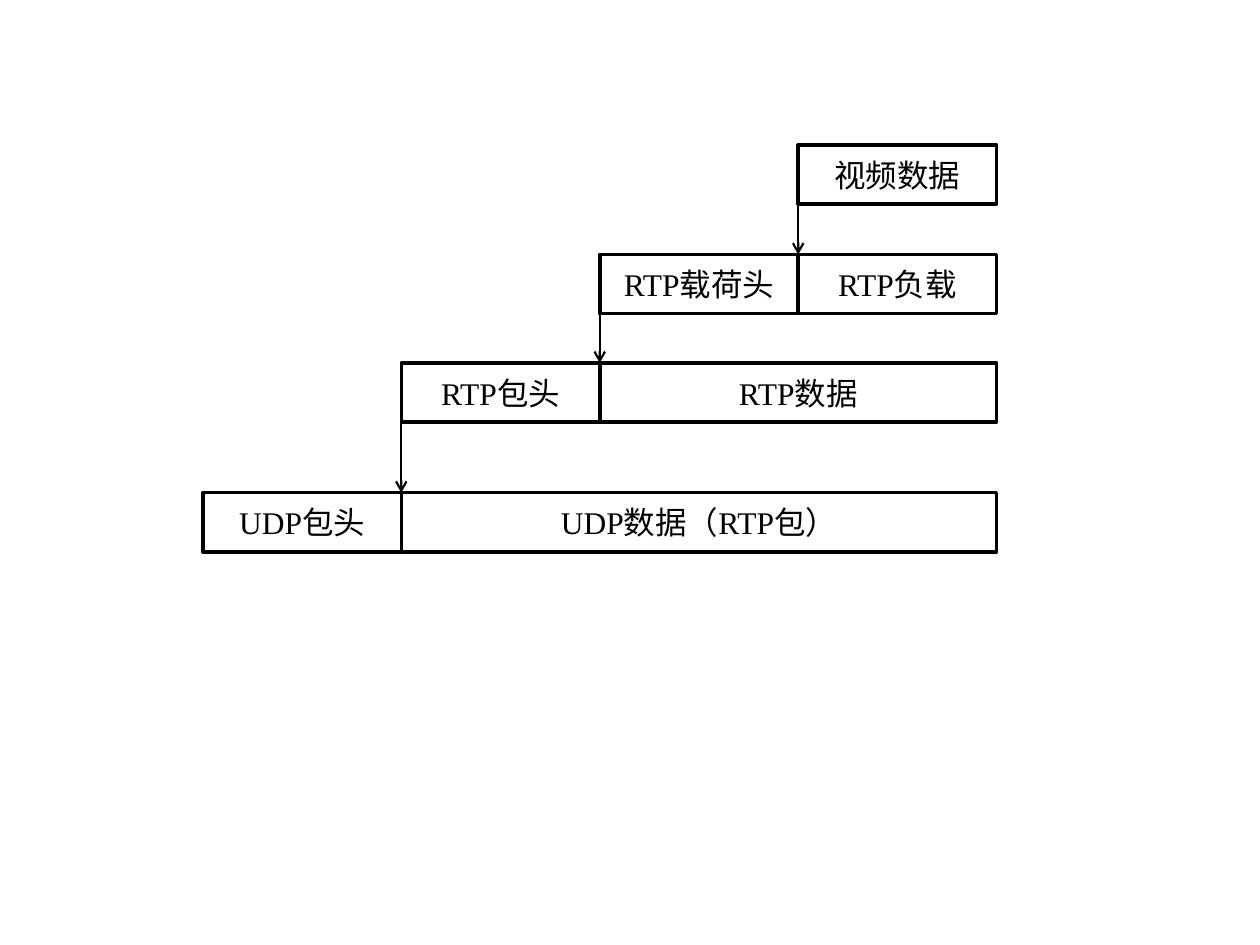
"""Draw how video data is wrapped in RTP and UDP packets."""
import pptx
import pptx.dml.color
import pptx.enum.shapes
import pptx.enum.text
import pptx.oxml
import pptx.oxml.ns
import pptx.util

Inches = pptx.util.Inches
Pt = pptx.util.Pt

LEFT = 1.61
COLUMN = 6.3 / 4
HEIGHT = 0.47
SERIF = "Times New Roman"
LAYERS = [
    (1.15, [("视频数据", 3, 1, "Calibri")]),
    (2.02, [("RTP载荷头", 2, 1, SERIF), ("RTP负载", 3, 1, SERIF)]),
    (2.88, [("RTP包头", 1, 1, SERIF), ("RTP数据", 2, 2, SERIF)]),
    (3.91, [("UDP包头", 0, 1, SERIF), ("UDP数据（RTP包）", 1, 3, SERIF)]),
]


def colour(value):
    return pptx.dml.color.RGBColor.from_string(value)


def apply(target, values):
    for name, value in values.items():
        setattr(target, name, value)


class PacketDiagram:
    ink = "000000"
    box_line = 2
    arrow_line = 1.25
    text_size = 18

    def __init__(self, page):
        self.page = page

    def outline(self, line, width):
        line.width = Pt(width)
        line.color.rgb = colour(self.ink)

    def field(self, text, column, columns, top, font):
        box = self.page.shapes.add_shape(
            pptx.enum.shapes.MSO_SHAPE.RECTANGLE,
            Inches(LEFT + column * COLUMN), Inches(top),
            Inches(columns * COLUMN), Inches(HEIGHT))
        box.shadow.inherit = False
        box.fill.background()
        self.outline(box.line, self.box_line)
        frame = box.text_frame
        apply(frame, {"word_wrap": True,
                      "vertical_anchor": pptx.enum.text.MSO_ANCHOR.MIDDLE})
        para = frame.paragraphs[0]
        para.alignment = pptx.enum.text.PP_ALIGN.CENTER
        span = para.add_run()
        span.text = text
        apply(span.font, {"name": font, "size": Pt(self.text_size)})
        span.font.color.rgb = colour(self.ink)

    def arrow(self, column, top, bottom):
        x = Inches(LEFT + column * COLUMN)
        connector = self.page.shapes.add_connector(
            pptx.enum.shapes.MSO_CONNECTOR.STRAIGHT,
            x, Inches(top), x, Inches(bottom))
        self.outline(connector.line, self.arrow_line)
        tail = pptx.oxml.parse_xml(
            f'<a:tailEnd {pptx.oxml.ns.nsdecls("a")} type="arrow"/>')
        connector.line._get_or_add_ln().append(tail)
        effects = pptx.oxml.parse_xml(
            f'<a:effectLst {pptx.oxml.ns.nsdecls("a")}/>')
        connector._element.spPr.append(effects)


def main():
    deck = pptx.Presentation()
    apply(deck, {"slide_width": Inches(10), "slide_height": Inches(7.5)})
    diagram = PacketDiagram(deck.slides.add_slide(deck.slide_layouts[6]))
    for top, fields in LAYERS:
        for text, column, columns, font in fields:
            diagram.field(text, column, columns, top, font)
    for (top, fields), (next_top, _) in zip(LAYERS, LAYERS[1:]):
        diagram.arrow(fields[0][1], top + HEIGHT, next_top)
    deck.save("out.pptx")


if __name__ == "__main__":
    main()
